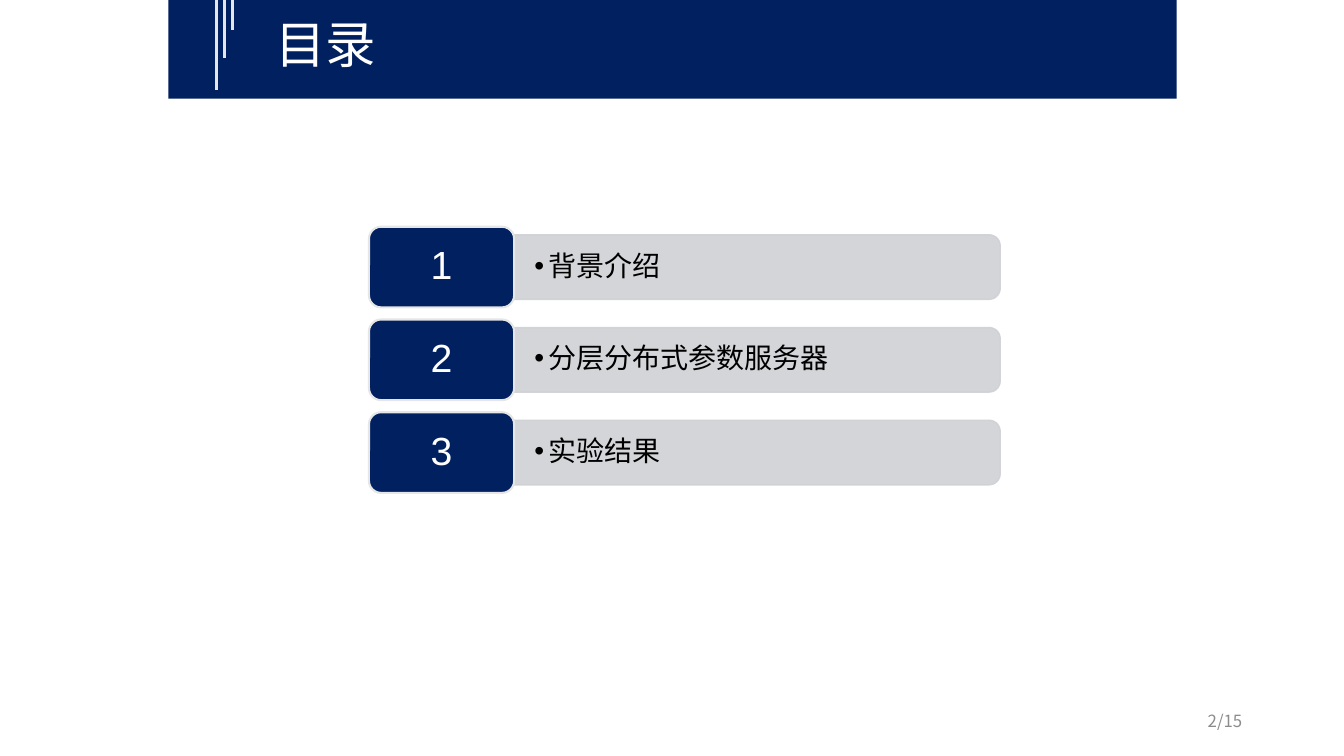
import dataclasses
import math

import lxml.etree
import pptx
import pptx.dml.color
import pptx.enum.shapes
import pptx.enum.text
import pptx.oxml.ns
import pptx.util

Inches = pptx.util.Inches
Pt = pptx.util.Pt
RGBColor = pptx.dml.color.RGBColor
SHAPE = pptx.enum.shapes.MSO_SHAPE
ALIGN = pptx.enum.text.PP_ALIGN
ANCHOR = pptx.enum.text.MSO_ANCHOR
AUTO_SIZE = pptx.enum.text.MSO_AUTO_SIZE
qn = pptx.oxml.ns.qn

NAVY = RGBColor(0x00, 0x20, 0x60)
SILVER = RGBColor(0xCF, 0xD1, 0xD4)
PALE = RGBColor(0xE7, 0xE6, 0xE6)
GRAY = RGBColor(0x8C, 0x8C, 0x8C)
WHITE = RGBColor(0xFF, 0xFF, 0xFF)
BLACK = RGBColor(0x00, 0x00, 0x00)
CJK = "Noto Sans CJK SC"

NUMBER_LEFT, NUMBER_WIDTH, NUMBER_HEIGHT = 3.66, 1.44, 0.8
BAR_LEFT, BAR_WIDTH, BAR_HEIGHT = NUMBER_LEFT + NUMBER_WIDTH, 4.82, 0.64
FIRST_ROW, ROW_PITCH = 2.25, 0.92
CORNER = 0.11


@dataclasses.dataclass
class Section:
    number: int
    name: str


@dataclasses.dataclass
class Stripe:
    x: float
    bottom: float


SECTIONS = [
    Section(1, "背景介绍"),
    Section(2, "分层分布式参数服务器"),
    Section(3, "实验结果"),
]
STRIPES = [Stripe(2.15, 0.89), Stripe(2.23, 0.58), Stripe(2.31, 0.3)]


def set_text(sp, text: str, size: int, color: RGBColor, font: str = CJK,
             align=ALIGN.LEFT, anchor=ANCHOR.MIDDLE, insets=(0.1, 0.05, 0.1, 0.05),
             spacing: float = 1.0):
    """Fill the shape with one formatted paragraph and return it."""
    tf = sp.text_frame
    left, top, right, bottom = map(Inches, insets)
    frame_format = {
        "word_wrap": True, "auto_size": AUTO_SIZE.NONE, "vertical_anchor": anchor,
        "margin_left": left, "margin_top": top,
        "margin_right": right, "margin_bottom": bottom,
    }
    for name, value in frame_format.items():
        setattr(tf, name, value)
    p = tf.paragraphs[0]
    p.alignment, p.line_spacing = align, spacing
    r = p.add_run()
    r.text = text
    for name, value in {"name": font, "size": Pt(size), "bold": False}.items():
        setattr(r.font, name, value)
    r.font.color.rgb = color
    ea = lxml.etree.Element(qn("a:ea"), typeface=font)
    r.font._element.find(qn("a:latin")).addnext(ea)
    return p


def set_paint(sp, fill: RGBColor, line: RGBColor | None = None, width: float = 1) -> None:
    sp.shadow.inherit = False
    sp.fill.solid()
    sp.fill.fore_color.rgb = fill
    if line is None:
        sp.line.fill.background()
    else:
        sp.line.color.rgb = line
        sp.line.width = Pt(width)


def add_bar(s, top: float, text: str) -> None:
    """Draw a translucent bar, rounded on its right side, with one bullet."""
    right, bottom = BAR_LEFT + BAR_WIDTH, top + BAR_HEIGHT
    arc = [math.radians(angle) for angle in range(0, 91, 10)]
    inner = right - CORNER
    points = [(inner + CORNER * math.sin(a), top + CORNER * (1 - math.cos(a))) for a in arc]
    points += [(inner + CORNER * math.cos(a), bottom - CORNER * (1 - math.sin(a))) for a in arc]
    points.append((BAR_LEFT, bottom))
    builder = s.shapes.build_freeform(Inches(BAR_LEFT), Inches(top))
    builder.add_line_segments([(Inches(x), Inches(y)) for x, y in points], close=True)
    sp = builder.convert_to_shape()
    set_paint(sp, SILVER, SILVER)
    for color in sp._element.spPr.iter(qn("a:srgbClr")):
        lxml.etree.SubElement(color, qn("a:alpha"), val="90000")
    p = set_text(sp, text, 20, BLACK, insets=(0.2, 0.13, 0.23, 0.13), spacing=0.9)
    pPr = p._p.get_or_add_pPr()
    pPr.set("marL", str(Inches(0.14)))
    pPr.set("indent", str(Inches(-0.14)))
    lxml.etree.SubElement(pPr, qn("a:buFont"), typeface="Arial")
    lxml.etree.SubElement(pPr, qn("a:buChar"), char="•")


def add_section(s, top: float, section: Section) -> None:
    add_bar(s, top + (NUMBER_HEIGHT - BAR_HEIGHT) / 2, section.name)
    sp = s.shapes.add_shape(SHAPE.ROUNDED_RECTANGLE, Inches(NUMBER_LEFT), Inches(top),
                            Inches(NUMBER_WIDTH), Inches(NUMBER_HEIGHT))
    sp.adjustments[0] = 0.15
    set_paint(sp, NAVY, PALE, 1.5)
    set_text(sp, str(section.number), 28, WHITE, "Arial", ALIGN.CENTER,
             insets=(0.15, 0.09, 0.15, 0.09), spacing=0.9)


def add_stripe(s, stripe: Stripe) -> None:
    x = Inches(stripe.x)
    line = s.shapes.add_connector(pptx.enum.shapes.MSO_CONNECTOR.STRAIGHT,
                                  x, Inches(-0.03), x, Inches(stripe.bottom))
    line.line.color.rgb = PALE
    line.line.width = Pt(2.25)
    lxml.etree.SubElement(line._element.spPr, qn("a:effectLst"))


def add_title(s, text: str) -> None:
    """Place the title placeholder in front of the header band."""
    title = s.shapes.title
    place = {"left": 2.63, "top": 0.08, "width": 3.03, "height": 0.71}
    for name, value in place.items():
        setattr(title, name, Inches(value))
    set_text(title, text, 36, WHITE, anchor=ANCHOR.TOP)
    title._element.getparent().append(title._element)


def main() -> None:
    prs = pptx.Presentation()
    prs.slide_width, prs.slide_height = Inches(13.33), Inches(7.5)
    s = prs.slides.add_slide(prs.slide_layouts[5])
    band = s.shapes.add_shape(SHAPE.RECTANGLE, Inches(1.67), 0, Inches(10), Inches(0.98))
    set_paint(band, NAVY)
    for row, section in enumerate(SECTIONS):
        add_section(s, FIRST_ROW + row * ROW_PITCH, section)
    for stripe in STRIPES:
        add_stripe(s, stripe)
    add_title(s, "目录")
    page = s.shapes.add_textbox(Inches(9.42), Inches(6.95), Inches(3), Inches(0.4))
    set_text(page, "2/15", 12, GRAY, align=ALIGN.RIGHT)
    prs.save("out.pptx")


if __name__ == "__main__":
    main()
